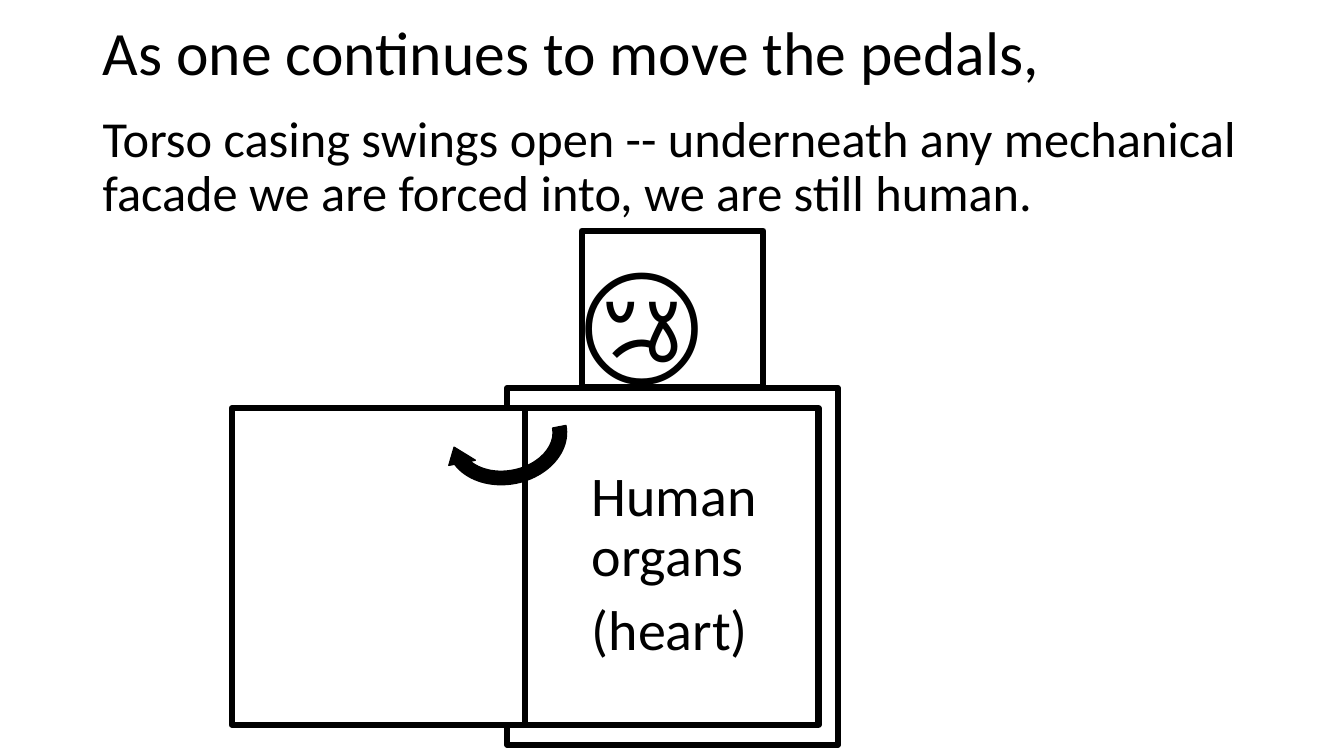
from pptx import Presentation
from pptx.dml.color import RGBColor
from pptx.enum.shapes import MSO_SHAPE
from pptx.enum.text import MSO_ANCHOR
from pptx.util import Inches, Pt

RECTANGLE = MSO_SHAPE.RECTANGLE
CURVED_ARROW = MSO_SHAPE.CIRCULAR_ARROW
TOP = MSO_ANCHOR.TOP
MIDDLE = MSO_ANCHOR.MIDDLE
COLORS = {"ink": "000000", "paper": "FFFFFF"}
FONT = "Calibri"
BODY_SPACING = {"line_spacing": 0.9, "space_before": Pt(10)}


def color(name):
    return RGBColor.from_string(COLORS[name])


def set_values(target, values):
    for name, value in values.items():
        setattr(target, name, value)


def add_text(page, place, lines, size, spacing, anchor=TOP):
    box = page.shapes.add_textbox(*map(Inches, place))
    frame = box.text_frame
    set_values(frame, {"word_wrap": True, "vertical_anchor": anchor})
    for index, line in enumerate(lines):
        para = frame.add_paragraph() if index else frame.paragraphs[0]
        set_values(para, spacing)
        span = para.add_run()
        span.text = line
        set_values(span.font, {"name": FONT, "size": Pt(size)})
        span.font.color.rgb = color("ink")


def add_figure(page, kind, place, fill="paper", line_width=4.5, rotation=0):
    figure = page.shapes.add_shape(kind, *map(Inches, place))
    figure.shadow.inherit = False
    figure.rotation = rotation
    figure.fill.solid()
    figure.fill.fore_color.rgb = color(fill)
    figure.line.color.rgb = color("ink")
    figure.line.width = Pt(line_width)


def main():
    deck = Presentation()
    set_values(deck, {"slide_width": Inches(13.33), "slide_height": Inches(7.5)})
    page = deck.slides.add_slide(deck.slide_layouts[6])

    add_text(page, (0.92, -0.17, 11.5, 1.45),
             ["As one continues to move the pedals,"], 44, {"line_spacing": 0.9}, MIDDLE)
    add_text(page, (0.92, 1.08, 11.5, 0.79),
             ["Torso casing swings open -- underneath any mechanical "
              "facade we are forced into, we are still human."], 36, BODY_SPACING)

    torso = (5.03, 3.85, 3.28, 3.54)
    head = (5.77, 2.29, 1.8, 1.55)
    for place in (torso, head):
        add_figure(page, RECTANGLE, place)
    add_text(page, (5.66, 2.26, 1.79, 1.72), ["\U0001F622"], 96, {})

    hinge, door_top, door_width, door_height = 5.21, 4.05, 2.91, 3.14
    for left in (hinge, hinge - door_width):
        add_figure(page, RECTANGLE, (left, door_top, door_width, door_height))
    add_figure(page, CURVED_ARROW, (4.36, 3.8, 1.33, 1.07), "ink", 1, 169)
    add_text(page, (5.77, 4.59, 2.18, 0.79), ["Human organs", "(heart)"], 40, BODY_SPACING)

    deck.save("out.pptx")


main()
